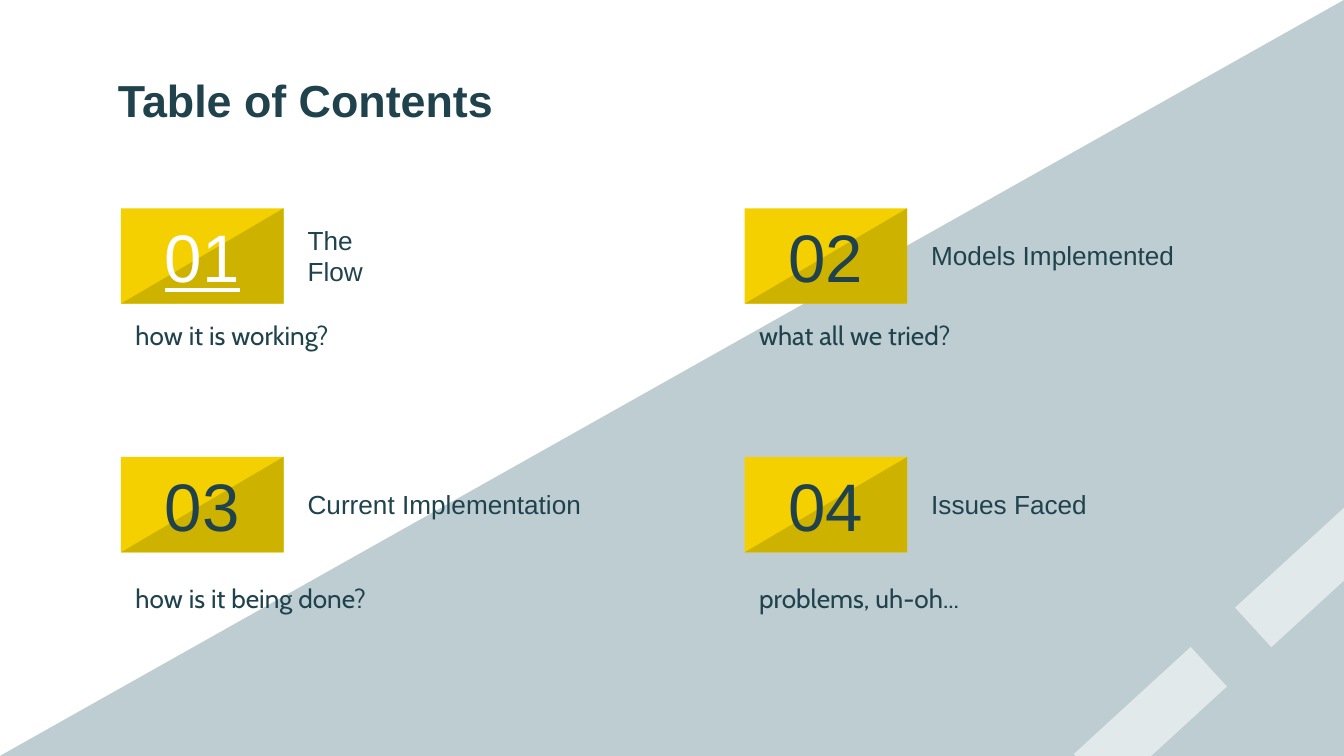
from dataclasses import dataclass

from lxml import etree
from pptx import Presentation
from pptx.dml.color import RGBColor
from pptx.enum.shapes import MSO_SHAPE
from pptx.enum.text import MSO_ANCHOR, PP_ALIGN
from pptx.oxml.ns import qn
from pptx.util import Inches, Pt

RECT, WEDGE = MSO_SHAPE.RECTANGLE, MSO_SHAPE.RIGHT_TRIANGLE
TOP, MIDDLE = MSO_ANCHOR.TOP, MSO_ANCHOR.MIDDLE
LEFT, CENTER = PP_ALIGN.LEFT, PP_ALIGN.CENTER


@dataclass(frozen=True)
class Theme:
    ink: str = "1F424C"
    white: str = "FFFFFF"
    teal: str = "336574"
    gold: str = "F4D000"
    shade: str = "CEB200"
    head: str = "Arial"
    body: str = "Cabin"
    title: int = 24
    digit: int = 36
    small: int = 14


theme = Theme()
wide = 10
high = wide * 9 / 16
deck = Presentation()
deck.slide_width, deck.slide_height = Inches(wide), Inches(high)
slide = deck.slides.add_slide(deck.slide_layouts[6])


def add_block(kind, box, color, alpha=100, turn=0):
    block = slide.shapes.add_shape(kind, *map(Inches, box))
    block.shadow.inherit = False
    block.line.fill.background()
    block.fill.solid()
    block.fill.fore_color.rgb = RGBColor.from_string(color)
    block.rotation = turn
    props = block.element.spPr
    if kind == WEDGE:
        props.find(qn("a:xfrm")).set("flipH", "1")
    if alpha < 100:
        tint = props.find(qn("a:solidFill")).find(qn("a:srgbClr"))
        etree.SubElement(tint, qn("a:alpha")).set("val", str(alpha * 1000))


def add_text(words, box, size, face=theme.head, color=theme.ink,
             anchor=MIDDLE, align=LEFT):
    frame = slide.shapes.add_textbox(*map(Inches, box)).text_frame
    frame.word_wrap = True
    frame.vertical_anchor = anchor
    frame.margin_left = frame.margin_right = Inches(0.1)
    frame.margin_top = frame.margin_bottom = Inches(0.1)
    para = frame.paragraphs[0]
    para.text = words
    para.alignment = align
    para.font.name, para.font.size = face, Pt(size)
    para.font.color.rgb = RGBColor.from_string(color)
    return para.font


add_block(WEDGE, (0, 0, wide, high), theme.teal, 32)
for x, y in ((7.97, 5.16), (9.17, 4.07)):
    add_block(RECT, (x, y, 1.18, 0.4), theme.white, 56, 317.5)

add_text("Table of Contents", (0.78, 0.43, 8.44, 0.63), theme.title).bold = True

cols = (0.9, 5.54)
rows = ((1.55, 2.28, TOP), (3.4, 4.1, MIDDLE))
topics = (
    ("The\nFlow", 1.55, "how it is working?"),
    ("Models Implemented", 2.27, "what all we tried?"),
    ("Current Implementation", 2.32, "how is it being done?"),
    ("Issues Faced", 1.55, "problems, uh-oh..."),
)
for i, (name, width, note) in enumerate(topics):
    x = cols[i % 2]
    y, below, anchor = rows[i // 2]
    card = (x, y, 1.21, 0.71)
    add_block(RECT, card, theme.gold)
    add_block(WEDGE, card, theme.shade)
    first = i == 0
    digit = add_text(f"{i + 1:02}", card, theme.digit, align=CENTER,
                     color=theme.white if first else theme.ink)
    if first:
        digit.underline = True
    add_text(name, (x + 1.29, y, width, 0.7), theme.small)
    add_text(note, (x + 0.01, below, 2.83, 0.7), theme.small, theme.body,
             anchor=anchor)

deck.save("out.pptx")
